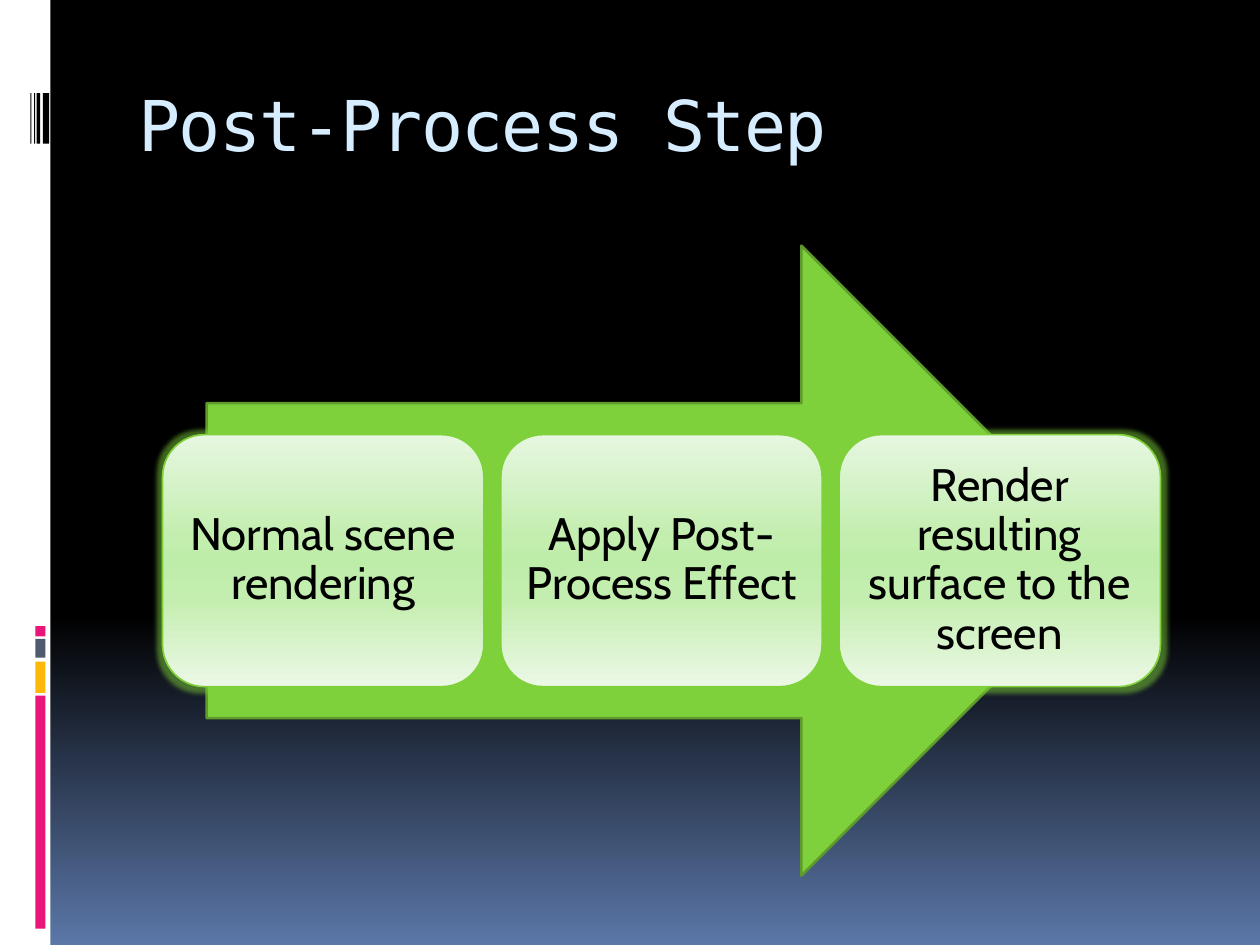
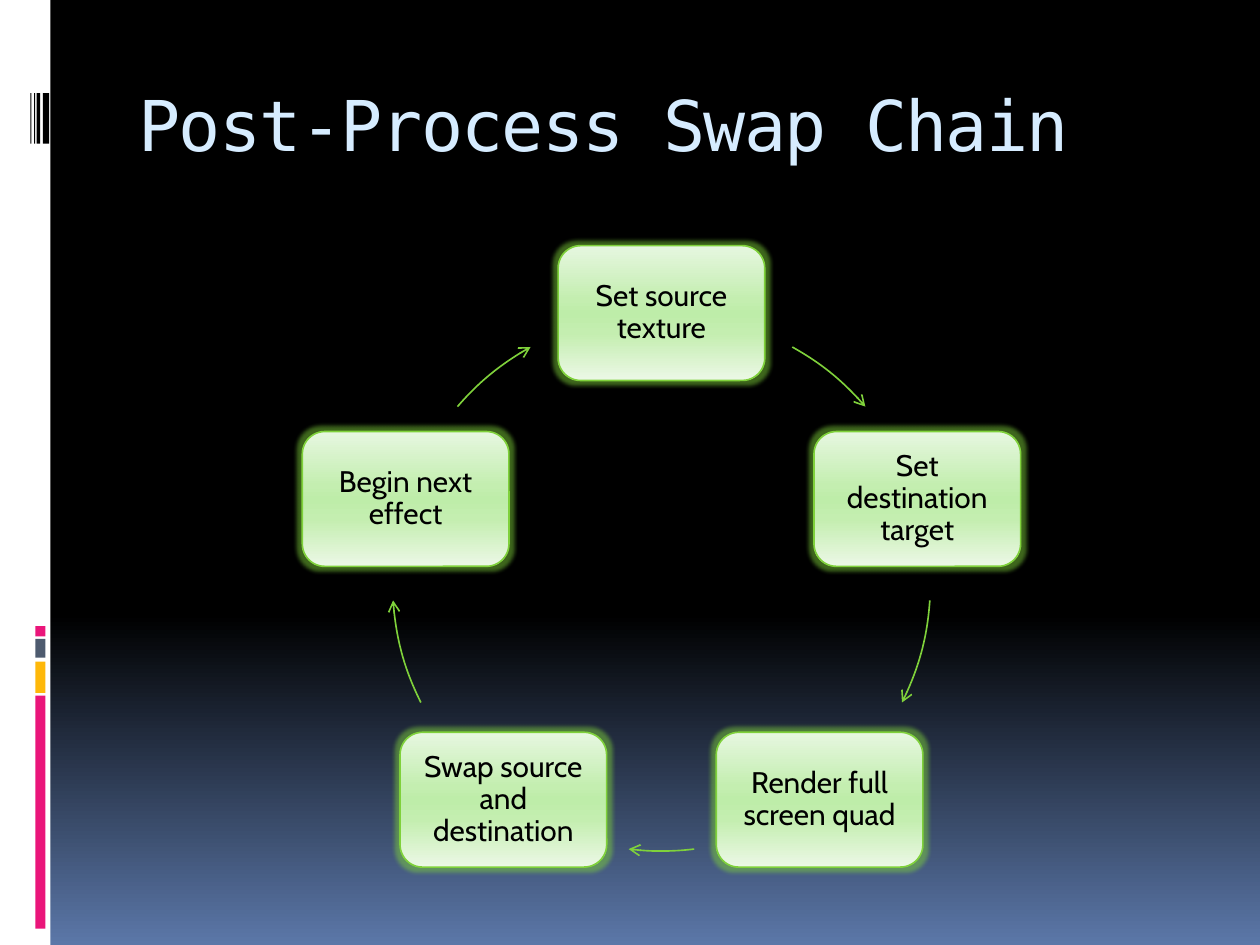
from dataclasses import dataclass
from math import cos, radians, sin

from lxml import etree
from pptx import Presentation
from pptx.dml.color import RGBColor
from pptx.enum.shapes import MSO_SHAPE
from pptx.enum.text import MSO_ANCHOR, MSO_AUTO_SIZE, PP_ALIGN
from pptx.oxml.ns import qn
from pptx.util import Inches, Pt

RECTANGLE = MSO_SHAPE.RECTANGLE
ROUNDED_RECTANGLE = MSO_SHAPE.ROUNDED_RECTANGLE
RIGHT_ARROW = MSO_SHAPE.RIGHT_ARROW
ARC = MSO_SHAPE.ARC
TITLE_ONLY = 5


@dataclass(frozen=True)
class Theme:
    title_font: str = "DejaVu Sans Mono"
    body_font: str = "Cabin"
    title_size: int = 40
    step_size: int = 26
    cycle_size: int = 17
    title: str = "D6ECFF"
    text: str = "000000"
    band: str = "FFFFFF"
    bar: str = "000000"
    pink: str = "EA157A"
    amber: str = "FEB80A"
    slate: str = "4E5B6F"
    green: str = "7FD13B"
    dark_green: str = "5E9B2C"
    background: tuple = ((0, "000000"), (65, "000000"), (100, "5B77A8"))
    card: tuple = ((0, "E6F7E0"), (40, "C4EEB0"), (50, "BEEDA9"),
                   (65, "C4EEB0"), (100, "ECF8E6"))
    card_line: float = 0.94
    arrow_line: float = 1.5


THEME = Theme()

# Content
STEP_TITLE = "Post-Process Step"
STEPS = ["Normal scene rendering", "Apply Post-Process Effect",
         "Render resulting surface to the screen"]
CYCLE_TITLE = "Post-Process Swap Chain"
# Each stage with the start and end angle of the arc that leaves it
CYCLE = [
    ("Set source texture", 299.1, 319.3),
    ("Set destination target", 3.9, 26.6),
    ("Render full screen quad", 83, 97),
    ("Swap source and destination", 153.4, 176.1),
    ("Begin next effect", 220.7, 240.9),
]

# Side band of the master: left, top, width, height, colour
SIDE_BAND = [
    (0, 0, 0.4, 7.5, THEME.band),
    (0.28, 5.52, 0.08, 1.85, THEME.pink),
    (0.28, 5.25, 0.08, 0.25, THEME.amber),
    (0.28, 5.07, 0.08, 0.15, THEME.slate),
    (0.28, 4.97, 0.08, 0.08, THEME.pink),
    *[(left, 0.74, width, 0.4, THEME.bar)
      for left, width in ((0.34, 0.05), (0.29, 0.03), (0.27, 0.01), (0.24, 0.01))],
]

# Layout, in inches
TITLE_BOX = (1, 0.56, 8.5, 1)
ARROW_BOX = (1.64, 1.95, 7.22, 5)
STEP_LEFT, STEP_TOP, STEP_WIDTH, STEP_HEIGHT, STEP_GAP = 1.29, 3.45, 2.55, 2, 0.135
CENTER_X, CENTER_Y, RADIUS = 5.25, 4.62, 2.135
STAGE_WIDTH, STAGE_HEIGHT = 1.64, 1.07


# Helpers
def set_gradient(fill, element, stops):
    fill.gradient()
    fill.gradient_angle = 270
    stop_list = element.find(".//" + qn("a:gsLst"))
    for stop in list(stop_list):
        stop_list.remove(stop)
    for position, color in stops:
        stop = etree.SubElement(stop_list, qn("a:gs"), pos=str(position * 1000))
        etree.SubElement(stop, qn("a:srgbClr"), val=color)


def add_shape(slide, kind, box, fill=None, line=None, line_width=1):
    shape = slide.shapes.add_shape(kind, *map(Inches, box))
    shape.shadow.inherit = False
    if fill:
        shape.fill.solid()
        shape.fill.fore_color.rgb = RGBColor.from_string(fill)
    else:
        shape.fill.background()
    if line:
        shape.line.color.rgb = RGBColor.from_string(line)
        shape.line.width = Pt(line_width)
    else:
        shape.line.fill.background()
    return shape


def format_font(font, name, size, color):
    font.name = name
    font.size = Pt(size)
    font.color.rgb = RGBColor.from_string(color)


def add_glow(shape):
    effects = shape.element.spPr.find(qn("a:effectLst"))
    glow = etree.SubElement(effects, qn("a:glow"), rad=str(Pt(5)))
    color = etree.SubElement(glow, qn("a:srgbClr"), val=THEME.green)
    etree.SubElement(color, qn("a:alpha"), val="50000")


def add_card(slide, box, text, size, inset):
    card = add_shape(slide, ROUNDED_RECTANGLE, box, None, THEME.green, THEME.card_line)
    set_gradient(card.fill, card.element, THEME.card)
    add_glow(card)
    frame = card.text_frame
    frame.word_wrap = True
    frame.vertical_anchor = MSO_ANCHOR.MIDDLE
    frame.margin_left = frame.margin_right = Inches(inset)
    frame.margin_top = frame.margin_bottom = Inches(inset)
    frame.text = text
    paragraph = frame.paragraphs[0]
    paragraph.alignment = PP_ALIGN.CENTER
    paragraph.line_spacing = 0.9
    format_font(paragraph.runs[0].font, THEME.body_font, size, THEME.text)


def add_titled_slide(presentation, title):
    slide = presentation.slides.add_slide(presentation.slide_layouts[TITLE_ONLY])
    shape = slide.shapes.title
    shape.left, shape.top, shape.width, shape.height = map(Inches, TITLE_BOX)
    frame = shape.text_frame
    frame.text = title
    frame.word_wrap = True
    frame.auto_size = MSO_AUTO_SIZE.NONE
    frame.vertical_anchor = MSO_ANCHOR.TOP
    frame.margin_top = Inches(0.09)
    paragraph = frame.paragraphs[0]
    paragraph.alignment = PP_ALIGN.LEFT
    font = paragraph.runs[0].font
    format_font(font, THEME.title_font, THEME.title_size, THEME.title)
    paragraph.runs[0]._r.get_or_add_rPr().set("spc", "-100")
    return slide


def style_master(presentation, slide):
    """Give the master its background, and move the side band onto it."""
    master = presentation.slide_master
    set_gradient(master.background.fill, master.element, THEME.background)
    for index, (*box, color) in enumerate(SIDE_BAND):
        element = add_shape(slide, RECTANGLE, box, color).element
        element.nvSpPr.cNvPr.set("id", str(100 + index))
        master.shapes.element.insert(2 + index, element)


# Slides
def build_step_slide(slide):
    add_shape(slide, RIGHT_ARROW, ARROW_BOX, THEME.green,
              THEME.dark_green, THEME.arrow_line)
    for index, step in enumerate(STEPS):
        left = STEP_LEFT + index * (STEP_WIDTH + STEP_GAP)
        add_card(slide, (left, STEP_TOP, STEP_WIDTH, STEP_HEIGHT),
                 step, THEME.step_size, 0.08)


def build_cycle_slide(slide):
    circle = (CENTER_X - RADIUS, CENTER_Y - RADIUS, 2 * RADIUS, 2 * RADIUS)
    for index, (stage, start, end) in enumerate(CYCLE):
        angle = radians(index * 360 / len(CYCLE) - 90)
        left = CENTER_X + RADIUS * cos(angle) - STAGE_WIDTH / 2
        top = CENTER_Y + RADIUS * sin(angle) - STAGE_HEIGHT / 2
        add_card(slide, (left, top, STAGE_WIDTH, STAGE_HEIGHT),
                 stage, THEME.cycle_size, 0.07)
        arc = add_shape(slide, ARC, circle, None, THEME.green, THEME.card_line)
        # Angles are stored in 60000ths of a degree, adjustments in 100000ths
        arc.adjustments[0] = start * 0.6
        arc.adjustments[1] = end * 0.6
        line = arc.element.spPr.find(qn("a:ln"))
        etree.SubElement(line, qn("a:tailEnd"), type="arrow")


def main():
    presentation = Presentation()
    presentation.slide_width = Inches(10)
    presentation.slide_height = Inches(7.5)
    step_slide = add_titled_slide(presentation, STEP_TITLE)
    style_master(presentation, step_slide)
    build_step_slide(step_slide)
    build_cycle_slide(add_titled_slide(presentation, CYCLE_TITLE))
    presentation.save("out.pptx")


if __name__ == "__main__":
    main()
